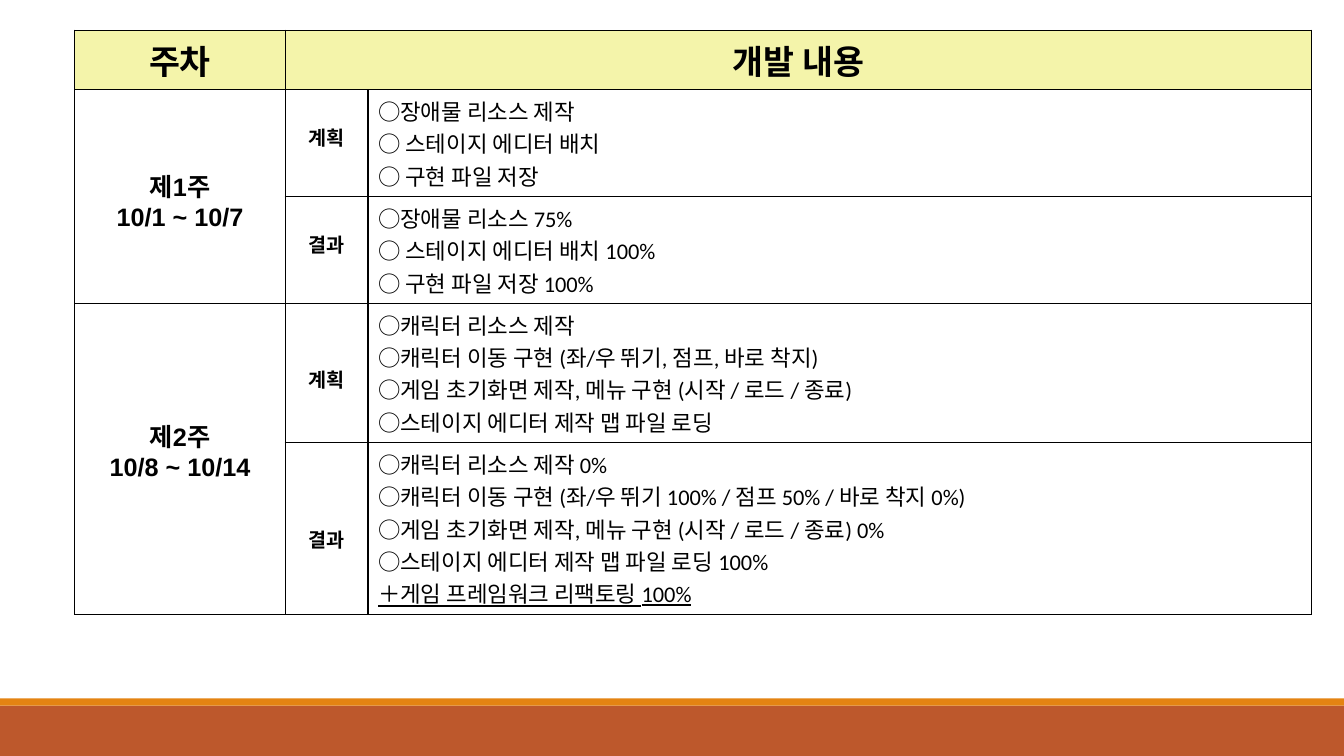
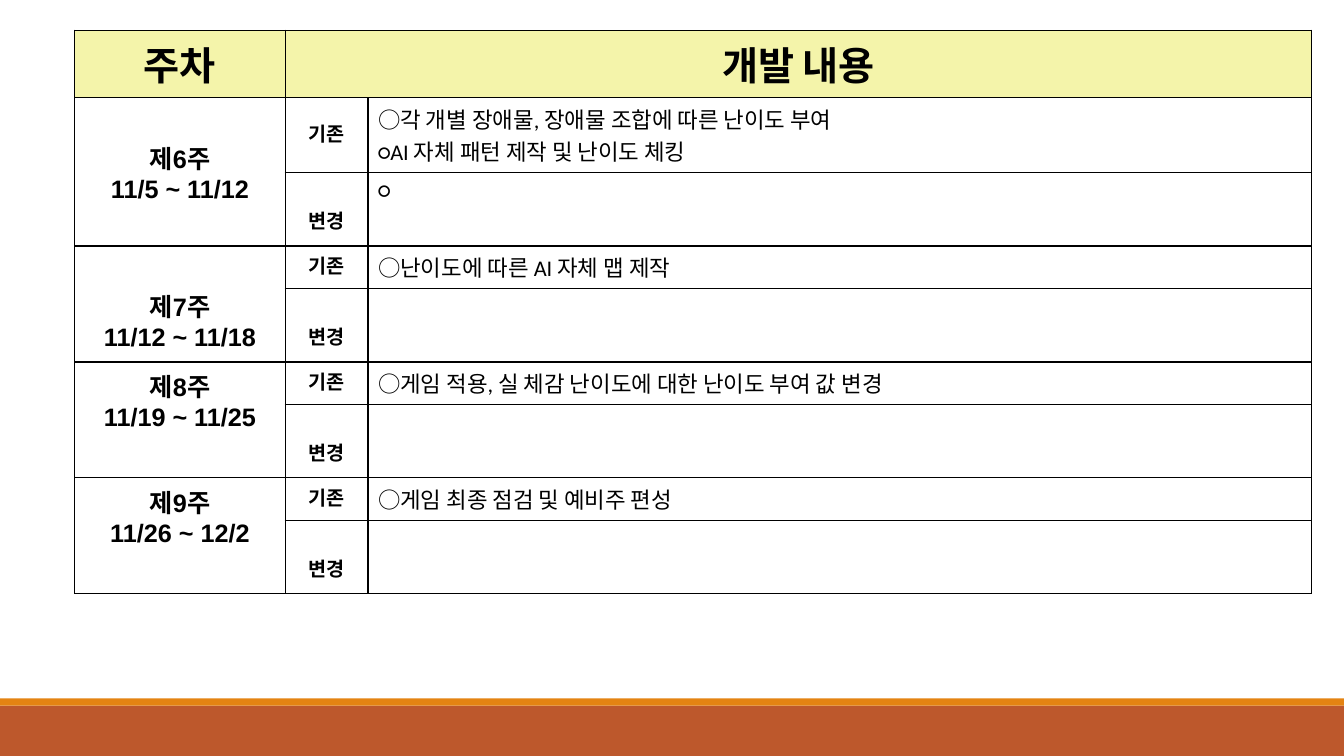
from lxml.etree import SubElement
from pptx import Presentation
from pptx.dml.color import RGBColor
from pptx.enum.shapes import MSO_SHAPE
from pptx.enum.text import PP_ALIGN
from pptx.oxml.ns import qn
from pptx.util import Inches, Pt

# Content: week, dates, drop in points, then rows of
# (label, drop in points, row height in inches, lines)
HEADS = ("주차", "개발 내용")
SLIDES = [
    {"size": 24, "head": 0.59, "weeks": [
        ("제1주", "10/1 ~ 10/7", 36, [
            ("계획", 14, 1.06, ["○장애물 리소스 제작", "○ 스테이지 에디터 배치",
                              "○ 구현 파일 저장"]),
            ("결과", 14, 1.06, ["○장애물 리소스 75%", "○ 스테이지 에디터 배치 100%",
                              "○ 구현 파일 저장 100%"]),
        ]),
        ("제2주", "10/8 ~ 10/14", 54, [
            ("계획", 28, 1.38, ["○캐릭터 리소스 제작",
                              "○캐릭터 이동 구현 (좌/우 뛰기, 점프, 바로 착지)",
                              "○게임 초기화면 제작, 메뉴 구현 (시작 / 로드 / 종료)",
                              "○스테이지 에디터 제작 맵 파일 로딩"]),
            ("결과", 38, 1.7, ["○캐릭터 리소스 제작 0%",
                             "○캐릭터 이동 구현 (좌/우 뛰기 100% / 점프 50% / 바로 착지 0%)",
                             "○게임 초기화면 제작, 메뉴 구현 (시작 / 로드 / 종료) 0%",
                             "○스테이지 에디터 제작 맵 파일 로딩 100%",
                             "＋게임 프레임워크 리팩토링 100%"]),
        ]),
    ]},
    {"size": 28, "head": 0.67, "weeks": [
        ("제6주", "11/5 ~ 11/12", 18, [
            ("기존", 8, 0.74, ["○각 개별 장애물, 장애물 조합에 따른 난이도 부여",
                             "○AI 자체 패턴 제작 및 난이도 체킹"]),
            ("변경", 14, 0.73, ["○"]),
        ]),
        ("제7주", "11/12 ~ 11/18", 18, [
            ("기존", 0, 0.42, ["○난이도에 따른 AI 자체 맵 제작"]),
            ("변경", 14, 0.73, []),
        ]),
        ("제8주", "11/19 ~ 11/25", 0, [
            ("기존", 0, 0.42, ["○게임 적용, 실 체감 난이도에 대한 난이도 부여 값 변경"]),
            ("변경", 14, 0.73, []),
        ]),
        ("제9주", "11/26 ~ 12/2", 0, [
            ("기존", 0, 0.42, ["○게임 최종 점검 및 예비주 편성"]),
            ("변경", 14, 0.73, []),
        ]),
    ]},
]


# Theme
class Theme:
    ink = RGBColor(0, 0, 0)
    paper = RGBColor(0xFF, 0xFF, 0xFF)
    head = RGBColor(0xF4, 0xF4, 0xAA)
    bands = [(7, 0.5, RGBColor(0xBD, 0x58, 0x2C)),
             (6.93, 0.07, RGBColor(0xE4, 0x83, 0x12))]
    bold, plain = "Arial", "Calibri"
    week, label, body = 18, 14, 16
    wide, high = 13.33, 7.5
    left, top = 0.74, 0.3
    cols = (2.09, 0.82, 9.36)
    pad, drop = 0.05, 0.02  # cell margin; inches of drop per point


def add_bands(slide):
    for top, high, color in Theme.bands:
        band = slide.shapes.add_shape(MSO_SHAPE.RECTANGLE, 0, Inches(top),
                                      Inches(Theme.wide), Inches(high))
        band.shadow.inherit = False
        band.fill.solid()
        band.fill.fore_color.rgb = color
        band.line.fill.background()


def style(cell, color):
    props = cell._tc.get_or_add_tcPr()
    for side in ("a:lnL", "a:lnR", "a:lnT", "a:lnB"):
        line = SubElement(props, qn(side), w=str(Pt(1)))
        fill = SubElement(line, qn("a:solidFill"))
        SubElement(fill, qn("a:srgbClr"), val=str(Theme.ink))
    cell.fill.solid()
    cell.fill.fore_color.rgb = color


def write(cell, lines, size, head=True, drop=0):
    cell.margin_top = Inches(Theme.pad + drop * Theme.drop)
    frame = cell.text_frame
    for i, text in enumerate(lines):
        para = frame.add_paragraph() if i else frame.paragraphs[0]
        para.alignment = PP_ALIGN.CENTER if head else PP_ALIGN.LEFT
        run = para.add_run()
        run.text = text
        font = run.font
        font.name = Theme.bold if head else Theme.plain
        font.size, font.bold = Pt(size), head
        font.color.rgb = Theme.ink
        if text.startswith("＋"):
            font.underline = True


def add_plan(slide, data):
    highs = [data["head"]] + [row[2] for week in data["weeks"] for row in week[3]]
    table = slide.shapes.add_table(
        len(highs), len(Theme.cols), Inches(Theme.left), Inches(Theme.top),
        Inches(sum(Theme.cols)), Inches(sum(highs))).table
    table.first_row = table.horz_banding = False
    for col, wide in zip(table.columns, Theme.cols):
        col.width = Inches(wide)
    for i, high in enumerate(highs):
        table.rows[i].height = Inches(high)
        for cell in table.rows[i].cells:
            style(cell, Theme.paper if i else Theme.head)

    # Head row
    table.cell(0, 1).merge(table.cell(0, 2))
    for i, text in enumerate(HEADS):
        write(table.cell(0, i), [text], data["size"])

    # Weeks
    at = 1
    for name, dates, drop, rows in data["weeks"]:
        table.cell(at, 0).merge(table.cell(at + len(rows) - 1, 0))
        write(table.cell(at, 0), [name, dates], Theme.week, drop=drop)
        for label, fall, _, lines in rows:
            write(table.cell(at, 1), [label], Theme.label, drop=fall)
            write(table.cell(at, 2), lines, Theme.body, head=False)
            at += 1


def main():
    deck = Presentation()
    deck.slide_width, deck.slide_height = Inches(Theme.wide), Inches(Theme.high)
    for data in SLIDES:
        slide = deck.slides.add_slide(deck.slide_layouts[6])
        add_bands(slide)
        add_plan(slide, data)
    deck.save("out.pptx")


if __name__ == "__main__":
    main()
